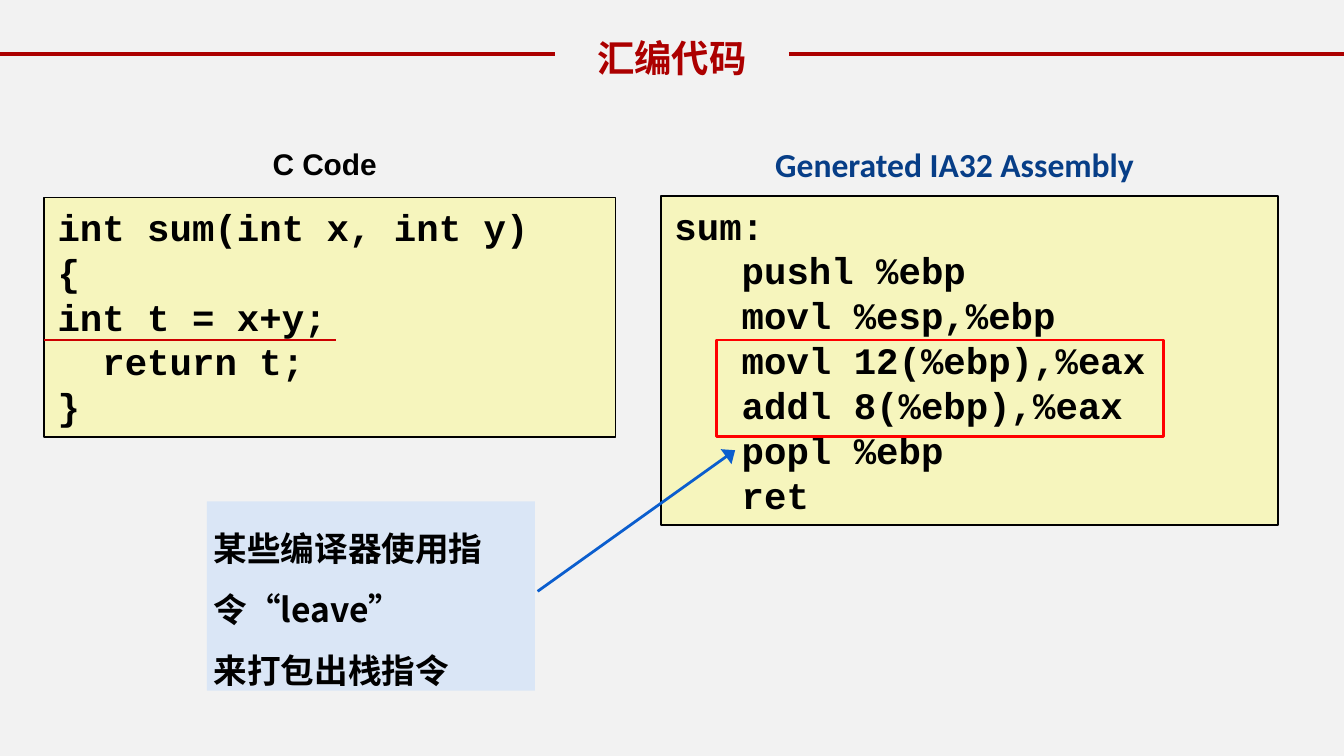
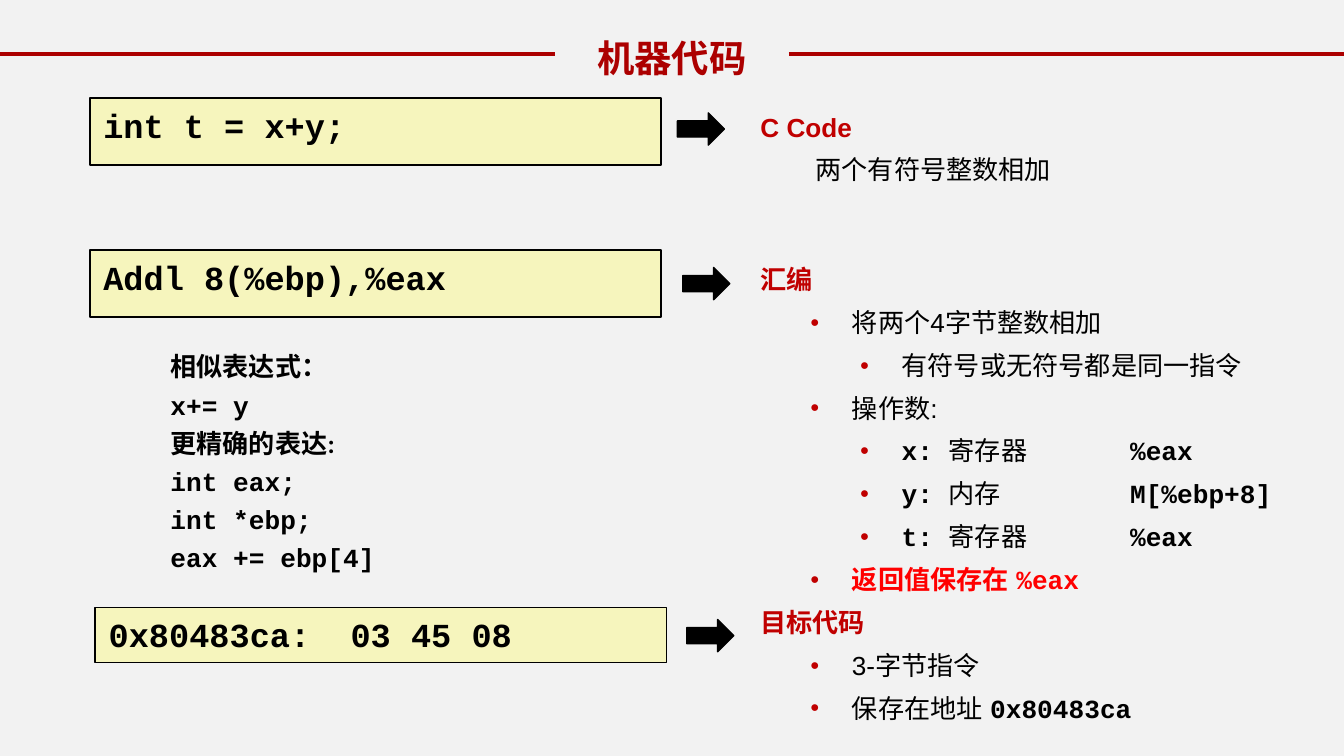
from lxml import etree
from pptx import Presentation
from pptx.dml.color import RGBColor
from pptx.enum.shapes import MSO_CONNECTOR, MSO_SHAPE
from pptx.enum.text import MSO_ANCHOR, MSO_AUTO_SIZE, PP_ALIGN
from pptx.oxml.ns import qn
from pptx.util import Inches, Pt

RECTANGLE, RIGHT_ARROW = MSO_SHAPE.RECTANGLE, MSO_SHAPE.RIGHT_ARROW
STRAIGHT = MSO_CONNECTOR.STRAIGHT
TOP, MIDDLE = MSO_ANCHOR.TOP, MSO_ANCHOR.MIDDLE
CENTER, LEFT = PP_ALIGN.CENTER, PP_ALIGN.LEFT
NO_AUTO_SIZE = MSO_AUTO_SIZE.NONE

BACKGROUND = RGBColor(0xF2, 0xF2, 0xF2)
TITLE_RED = RGBColor(0xAC, 0x00, 0x00)
HEADING_RED = RGBColor(0xC0, 0x00, 0x00)
UNDERLINE_RED = RGBColor(0xCC, 0x00, 0x00)
BRIGHT_RED = RGBColor(0xFF, 0x00, 0x00)
CODE_YELLOW = RGBColor(0xF6, 0xF5, 0xBD)
NOTE_BLUE = RGBColor(0xDA, 0xE6, 0xF6)
ARROW_BLUE = RGBColor(0x0B, 0x5E, 0xCE)
CAPTION_BLUE = RGBColor(0x07, 0x3E, 0x87)
BLACK = RGBColor(0x00, 0x00, 0x00)

ARIAL, CALIBRI, COURIER = "Arial", "Calibri", "Courier New"
CHINESE = "Noto Sans CJK SC"

TITLE = {"name": CHINESE, "size": 20, "bold": True, "color": TITLE_RED}
CODE = {"name": COURIER, "size": 20, "bold": True, "color": BLACK}
SMALL_CODE = {**CODE, "size": 18}
NOTE = {"name": CHINESE, "size": 18, "bold": True, "color": BLACK}
BODY = {"name": ARIAL, "size": 14, "bold": False, "color": BLACK}
HEADING = {**BODY, "bold": True, "color": HEADING_RED}
RESULT = {**BODY, "bold": True, "color": BRIGHT_RED}
BODY_CODE = {**CODE, "size": 14}
OPERAND = {**BODY, "name": COURIER}
EXPRESSION = {**BODY, "name": CALIBRI, "bold": True}

# Left margin and first-line indent of each body level
INDENTS = {0: (0, 0), 1: (0.68, -0.31), 2: (1.05, -0.31)}


def add_child(parent, tag, **attributes):
    child = etree.SubElement(parent, qn(tag))
    for name, value in attributes.items():
        child.set(name, str(value))
    return child


def set_bullet(properties):
    color = add_child(properties, "a:buClr")
    add_child(color, "a:srgbClr", val=HEADING_RED)
    add_child(properties, "a:buSzPct", val=60000)
    add_child(properties, "a:buFont", typeface=ARIAL)
    add_child(properties, "a:buChar", char="●")


def add_run(paragraph, text, style):
    run = paragraph.add_run()
    run.text = text
    values = {"name": style["name"], "size": Pt(style["size"]),
              "bold": style["bold"]}
    for name, value in values.items():
        setattr(run.font, name, value)
    run.font.color.rgb = style["color"]
    add_child(run.font._element, "a:ea", typeface=style["name"])


def write(shape, paragraphs, inset=0.1, anchor=TOP):
    """Fill a shape with (runs, layout) pairs; runs are (text, style) pairs."""
    frame = shape.text_frame
    frame_values = {
        "word_wrap": True, "auto_size": NO_AUTO_SIZE,
        "vertical_anchor": anchor,
        "margin_left": Inches(inset), "margin_right": Inches(inset),
        "margin_top": Inches(0.05), "margin_bottom": Inches(0.05),
    }
    for name, value in frame_values.items():
        setattr(frame, name, value)
    for index, (runs, layout) in enumerate(paragraphs):
        paragraph = frame.add_paragraph() if index else frame.paragraphs[0]
        properties = paragraph._p.get_or_add_pPr()
        margin, first_line = layout.get("indent", (0, 0))
        properties.set("marL", str(Inches(margin)))
        properties.set("indent", str(Inches(first_line)))
        if layout.get("bullet"):
            set_bullet(properties)
        if "tabs" in layout:
            tab_list = add_child(properties, "a:tabLst")
            for position in layout["tabs"]:
                add_child(tab_list, "a:tab", pos=Inches(position), algn="l")
        values = {"level": layout.get("level", 0),
                  "alignment": layout.get("align", LEFT),
                  "line_spacing": layout.get("spacing", 1.0),
                  "space_before": Pt(layout.get("before", 0) if index else 0)}
        for name, value in values.items():
            setattr(paragraph, name, value)
        for text, style in runs:
            add_run(paragraph, text, style)


def add_text(slide, box, paragraphs):
    write(slide.shapes.add_textbox(*map(Inches, box)), paragraphs)


def add_block(slide, box, fill=None, line=None, width=1, kind=RECTANGLE):
    shape = slide.shapes.add_shape(kind, *map(Inches, box))
    shape.shadow.inherit = False
    if fill is None:
        shape.fill.background()
    else:
        shape.fill.solid()
        shape.fill.fore_color.rgb = fill
    if line is None:
        shape.line.fill.background()
    else:
        shape.line.color.rgb = line
        shape.line.width = Pt(width)
    return shape


def add_code(slide, box, lines, style):
    block = add_block(slide, box, CODE_YELLOW, BLACK)
    write(block, [([(line, style)], {"tabs": [0.5]}) for line in lines])


def add_line(slide, start, end, color, width):
    line = slide.shapes.add_connector(STRAIGHT, *map(Inches, start + end))
    line.line.color.rgb = color
    line.line.width = Pt(width)
    add_child(line._element.spPr, "a:effectLst")
    return line


def add_titled_slide(presentation, title):
    slide = presentation.slides.add_slide(presentation.slide_layouts[5])
    for left, right in ((0, 4.13), (5.87, 10)):
        add_line(slide, (left, 0.4), (right, 0.4), TITLE_RED, 2)
    placeholder = slide.shapes.title
    for name, value in zip(("left", "top", "width", "height"),
                           (4.13, 0.21, 1.74, 0.44)):
        setattr(placeholder, name, Inches(value))
    write(placeholder, [([(title, TITLE)], {"align": CENTER})], anchor=MIDDLE)
    return slide


def body_item(level, *runs, **layout):
    return runs, {"level": level, "indent": INDENTS[level],
                  "bullet": level > 0, "spacing": 1.2, "before": 2.8,
                  "tabs": [1.25, 2.75], **layout}


def operand_item(name, place, value):
    return body_item(2, (f"{name}: ", BODY_CODE), (f"{place}\t", OPERAND),
                     (value, BODY_CODE))


def build_assembly_slide(presentation):
    slide = add_titled_slide(presentation, "汇编代码")
    add_text(slide, (1.93, 0.98, 1.06, 0.51),
             [([("C Code", {**HEADING, "size": 16, "color": BLACK})],
               {"indent": (0.18, -0.18), "spacing": 1.2})])
    add_code(slide, (0.33, 1.47, 4.25, 1.78),
             ["int sum(int x, int y)", "{", "int t = x+y;",
              "  return t;", "}"], CODE)
    add_text(slide, (5.67, 1.02, 3, 0.44),
             [([("Generated IA32 Assembly",
                 {**EXPRESSION, "size": 18, "color": CAPTION_BLUE})],
               {"indent": (0.24, -0.24)})])
    add_code(slide, (4.92, 1.46, 4.59, 2.45),
             ["sum:", "\tpushl %ebp", "\tmovl %esp,%ebp",
              "\tmovl 12(%ebp),%eax", "\taddl 8(%ebp),%eax",
              "\tpopl %ebp", "\tret"], CODE)
    arrow = add_line(slide, (4, 4.4), (5.47, 3.35), ARROW_BLUE, 1.5)
    add_child(arrow.line._get_or_add_ln(), "a:tailEnd", type="triangle",
              w="lg", len="med")
    note = add_block(slide, (1.54, 3.73, 2.44, 1.41), NOTE_BLUE)
    write(note, [([(text, NOTE)], {"spacing": Pt(32.5)})
                 for text in ("某些编译器使用指令“leave”", "来打包出栈指令")],
          inset=0.05)
    add_line(slide, (0.33, 2.53), (2.5, 2.53), UNDERLINE_RED, 1.5)
    add_block(slide, (5.33, 2.53, 3.33, 0.72), line=BRIGHT_RED, width=1.5)


def build_machine_code_slide(presentation):
    slide = add_titled_slide(presentation, "机器代码")
    add_text(slide, (5.56, 0.73, 4.25, 4.81), [
        body_item(0, ("C Code", HEADING)),
        body_item(1, ("两个有符号整数相加", BODY), indent=(0.41, 0), bullet=False),
        body_item(0, ("汇编", HEADING), before=38.5),
        body_item(1, ("将两个4字节整数相加", BODY)),
        body_item(2, ("有符号或无符号都是同一指令", BODY)),
        body_item(1, ("操作数:", BODY)),
        operand_item("x", "寄存器", "%eax"),
        operand_item("y", "内存", "M[%ebp+8]"),
        operand_item("t", "寄存器", "%eax"),
        body_item(1, ("返回值保存在 ", RESULT),
                  ("%eax", {**RESULT, "name": COURIER})),
        body_item(0, ("目标代码", HEADING)),
        body_item(1, ("3-字节指令", BODY)),
        body_item(1, ("保存在地址 ", BODY), ("0x80483ca", BODY_CODE)),
    ])
    for left, top, height, code in (
            (0.67, 0.73, 0.5, "int t = x+y;"),
            (0.67, 1.86, 0.5, "Addl 8(%ebp),%eax"),
            (0.71, 4.52, 0.41, "0x80483ca:  03 45 08")):
        add_code(slide, (left, top, 4.25, height), [code], SMALL_CODE)
    expressions = [("相似表达式：", EXPRESSION), ("x+= y", BODY_CODE),
                   ("更精确的表达:", EXPRESSION), ("int eax;", BODY_CODE),
                   ("int *ebp;", BODY_CODE), ("eax += ebp[4]", BODY_CODE)]
    add_text(slide, (1.17, 2.56, 3.75, 1.88),
             [([run], {"spacing": 0.8 if index else 1.0, "before": 7})
              for index, run in enumerate(expressions)])
    for left, top in ((5.04, 0.84), (5.08, 1.99), (5.11, 4.61)):
        add_block(slide, (left, top, 0.35, 0.24), BLACK, BLACK, 0.75,
                  RIGHT_ARROW)


def main():
    presentation = Presentation()
    presentation.slide_width = Inches(10)
    presentation.slide_height = Inches(10) * 9 // 16
    background = presentation.slide_master.background.fill
    background.solid()
    background.fore_color.rgb = BACKGROUND
    build_assembly_slide(presentation)
    build_machine_code_slide(presentation)
    presentation.save("out.pptx")


if __name__ == "__main__":
    main()
